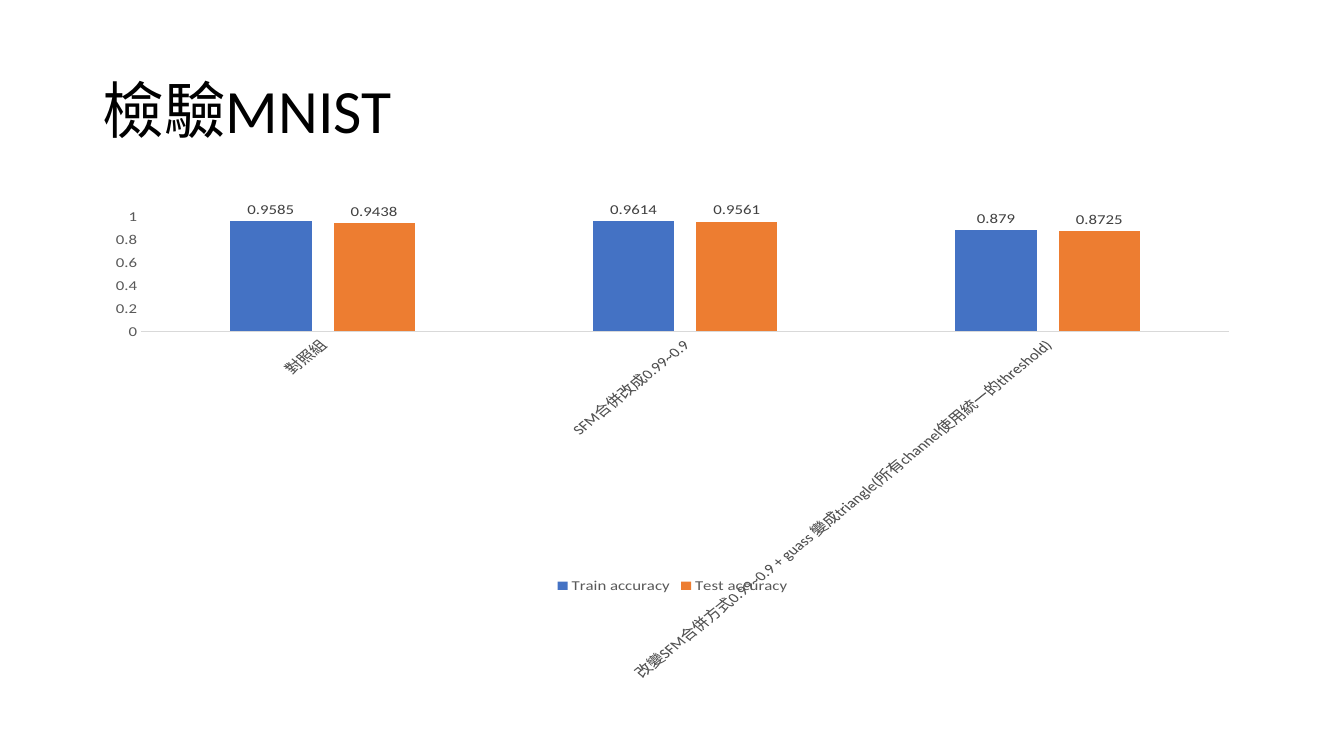
"""Build a slide comparing MNIST train and test accuracy in a column chart."""
from dataclasses import dataclass

from pptx import Presentation
from pptx.chart.data import CategoryChartData
from pptx.dml.color import RGBColor
from pptx.enum.chart import (
    XL_CHART_TYPE as ChartType,
    XL_LABEL_POSITION as LabelPosition,
    XL_LEGEND_POSITION as LegendPosition,
    XL_TICK_MARK as TickMark,
)
from pptx.enum.text import MSO_ANCHOR as Anchor
from pptx.util import Inches, Pt


@dataclass(frozen=True)
class Theme:
    font: str = "Calibri"
    title_size: int = 44
    base_size: int = 10
    chart_size: int = 12
    black: str = "000000"
    axis_text: str = "595959"
    label_text: str = "404040"
    axis_line: str = "D9D9D9"
    series: tuple = ("4472C4", "ED7D31")


theme = Theme()


def style_font(font, size, color):
    font.name = theme.font
    font.size = Pt(size)
    font.bold = False
    font.color.rgb = RGBColor.from_string(color)


deck = Presentation()
deck.slide_width, deck.slide_height = Inches(13.33), Inches(7.5)
page = deck.slides.add_slide(deck.slide_layouts[6])
left, width = Inches(0.92), Inches(11.5)

title_box = page.shapes.add_textbox(left, Inches(0.4), width, Inches(1.45))
title_box.text_frame.word_wrap = True
title_box.text_frame.vertical_anchor = Anchor.MIDDLE
para = title_box.text_frame.paragraphs[0]
para.text = "檢驗MNIST"
para.line_spacing = 0.9
style_font(para.font, theme.title_size, theme.black)

accuracy = CategoryChartData()
accuracy.categories = [
    "對照組",
    "SFM合併改成0.99~0.9",
    "改變SFM合併方式0.99~0.9 + guass 變成triangle(所有channel使用統一的threshold)",
]
accuracy.add_series("Train accuracy", (0.9585, 0.9614, 0.879))
accuracy.add_series("Test accuracy", (0.9438, 0.9561, 0.8725))

chart = page.shapes.add_chart(
    ChartType.COLUMN_CLUSTERED, left, Inches(2), width, Inches(4.76), accuracy
).chart
style_font(chart.font, theme.base_size, theme.black)
chart.has_title = False
chart.has_legend = True
chart.legend.position = LegendPosition.BOTTOM
chart.legend.include_in_layout = False
style_font(chart.legend.font, theme.chart_size, theme.axis_text)

for axis in (chart.category_axis, chart.value_axis):
    axis.major_tick_mark = axis.minor_tick_mark = TickMark.NONE
    axis.has_major_gridlines = False
    style_font(axis.tick_labels.font, theme.chart_size, theme.axis_text)

category_line = chart.category_axis.format.line
category_line.width = Pt(0.75)
category_line.color.rgb = RGBColor.from_string(theme.axis_line)
chart.value_axis.format.line.fill.background()
chart.value_axis.minimum_scale, chart.value_axis.maximum_scale = 0, 1
chart.value_axis.major_unit = 0.1

plot = chart.plots[0]
plot.gap_width, plot.overlap = 219, -27
plot.vary_by_categories = False
for series, color in zip(plot.series, theme.series):
    series.format.fill.solid()
    series.format.fill.fore_color.rgb = RGBColor.from_string(color)
    series.invert_if_negative = False
    labels = series.data_labels
    labels.show_value = True
    labels.position = LabelPosition.OUTSIDE_END
    style_font(labels.font, theme.chart_size, theme.label_text)

deck.save("out.pptx")
